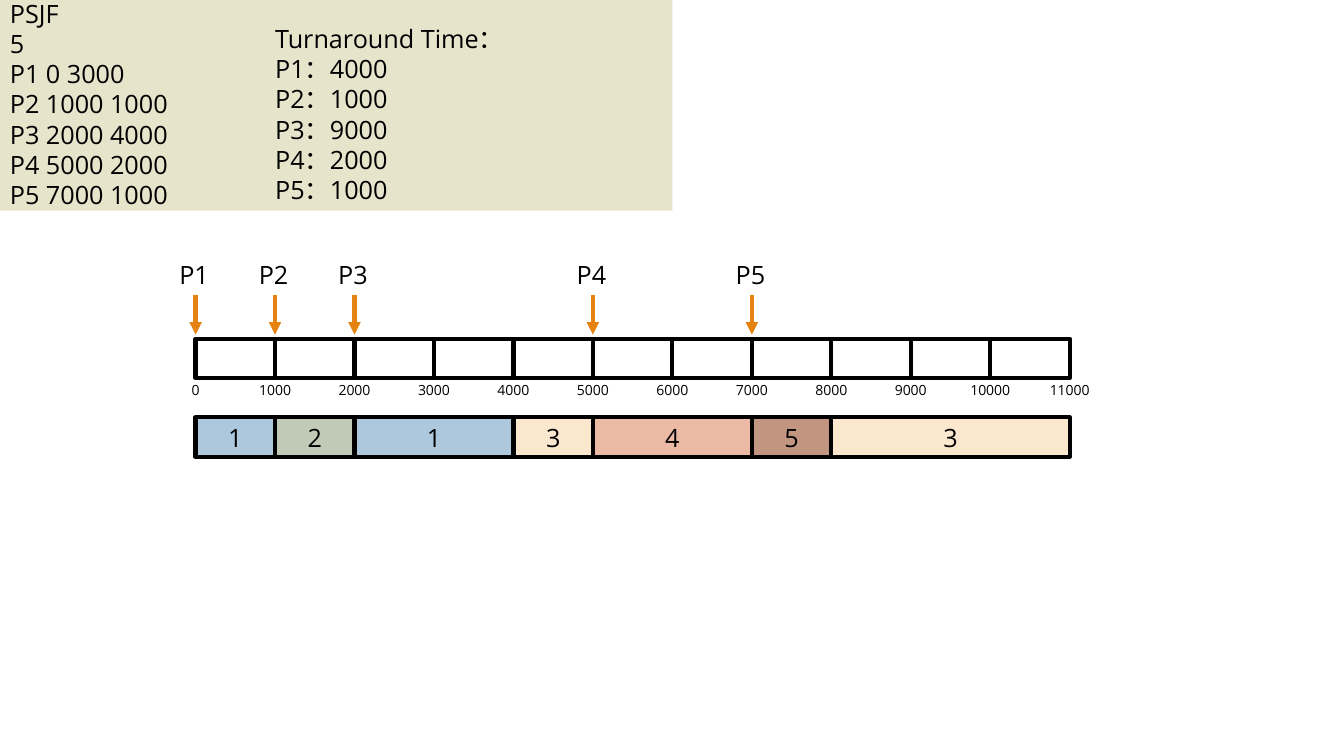
from lxml import etree
from pptx import Presentation
from pptx.dml.color import RGBColor
from pptx.enum.shapes import MSO_CONNECTOR, MSO_SHAPE
from pptx.enum.text import MSO_ANCHOR, MSO_AUTO_SIZE, PP_ALIGN
from pptx.oxml.ns import qn
from pptx.util import Inches, Pt

RECTANGLE = MSO_SHAPE.RECTANGLE
STRAIGHT = MSO_CONNECTOR.STRAIGHT
CENTER, LEFT = PP_ALIGN.CENTER, PP_ALIGN.LEFT
MIDDLE, TOP = MSO_ANCHOR.MIDDLE, MSO_ANCHOR.TOP
GROW, FIXED = MSO_AUTO_SIZE.SHAPE_TO_FIT_TEXT, MSO_AUTO_SIZE.NONE

# Content
INPUT_LINES = ["PSJF", "5", "P1 0 3000", "P2 1000 1000", "P3 2000 4000",
               "P4 5000 2000", "P5 7000 1000"]
TURNAROUND_LINES = ["Turnaround Time:", "P1:4000", "P2:1000", "P3:9000",
                    "P4:2000", "P5:1000"]
TURNAROUND_LINES = [line.replace(":", "\uff1a") for line in TURNAROUND_LINES]
ARRIVALS = {"P1": 0, "P2": 1000, "P3": 2000, "P4": 5000, "P5": 7000}
SCHEDULE = [("1", 0, 1000), ("2", 1000, 2000), ("1", 2000, 4000),
            ("3", 4000, 5000), ("4", 5000, 7000), ("5", 7000, 8000),
            ("3", 8000, 11000)]
END_TIME, STEP = 11000, 1000

# Style
FONT = "Open Sans"
BLACK, ORANGE, PANEL = "000000", "E48312", "E7E4CC"
PROCESS_COLORS = {"1": "ADC8DD", "2": "C1CAB6", "3": "FBE6CE",
                  "4": "EABAA5", "5": "C29580"}
LINE_WIDTH = Pt(3)

# Layout in inches
AXIS_LEFT, CELL_WIDTH, CELL_HEIGHT = 1.94, 8.67 / 11, 0.39
AXIS_TOP, TICK_TOP, SCHEDULE_TOP = 3.36, 3.67, 4.14
ARROW_TOP, ARROW_BOTTOM = 2.93, 3.32
NAME_TOP, NAME_WIDTH, NAME_HEIGHT = 2.52, 0.52, 0.4

deck = Presentation()
deck.slide_width, deck.slide_height = Inches(13.33), Inches(7.5)
page = deck.slides.add_slide(deck.slide_layouts[6])


def color(value):
    return RGBColor.from_string(value)


def time_x(time):
    return AXIS_LEFT + time / STEP * CELL_WIDTH


def write(box, lines, size=18, align=CENTER, **frame_format):
    frame = box.text_frame
    settings = {"word_wrap": True, "auto_size": FIXED,
                "vertical_anchor": MIDDLE, **frame_format}
    for name, value in settings.items():
        setattr(frame, name, value)
    for index, line in enumerate(lines):
        para = frame.paragraphs[0] if index == 0 else frame.add_paragraph()
        para.alignment = align
        span = para.add_run()
        span.text = line
        for name, value in {"name": FONT, "size": Pt(size)}.items():
            setattr(span.font, name, value)
        span.font.color.rgb = color(BLACK)


def add_text(left, top, width, height, lines, **text_format):
    box = page.shapes.add_textbox(*map(Inches, (left, top, width, height)))
    write(box, lines, **text_format)


def add_block(left, top, width, height, fill=None, outlined=True):
    block = page.shapes.add_shape(RECTANGLE, *map(Inches, (left, top, width, height)))
    block.shadow.inherit = False
    if fill:
        block.fill.solid()
        block.fill.fore_color.rgb = color(fill)
    else:
        block.fill.background()
    if outlined:
        block.line.color.rgb = color(BLACK)
        block.line.width = LINE_WIDTH
    else:
        block.line.fill.background()
    return block


def add_arrow(x):
    arrow = page.shapes.add_connector(
        STRAIGHT, *map(Inches, (x, ARROW_TOP, x, ARROW_BOTTOM)))
    arrow.line.color.rgb = color(ORANGE)
    arrow.line.width = LINE_WIDTH
    properties = arrow.line._get_or_add_ln()
    etree.SubElement(properties, qn("a:tailEnd"), type="triangle")
    etree.SubElement(properties.getparent(), qn("a:effectLst"))


# Time axis with tick labels
for time in range(0, END_TIME, STEP):
    add_block(time_x(time), AXIS_TOP, CELL_WIDTH, CELL_HEIGHT)
for time in range(0, END_TIME + STEP, STEP):
    add_text(time_x(time) - CELL_WIDTH / 2, TICK_TOP, CELL_WIDTH, CELL_HEIGHT,
             [str(time)], size=10)

# Schedule of running processes
for process, start, end in SCHEDULE:
    block = add_block(time_x(start), SCHEDULE_TOP, time_x(end) - time_x(start),
                      CELL_HEIGHT, PROCESS_COLORS[process])
    write(block, [process])

# Arrivals
label_format = {"align": LEFT, "vertical_anchor": TOP, "auto_size": GROW}
for name, time in ARRIVALS.items():
    add_arrow(time_x(time))
    add_text(time_x(time) - NAME_WIDTH / 2, NAME_TOP, NAME_WIDTH, NAME_HEIGHT,
             [name], word_wrap=False, **label_format)

# Input and turnaround panel
add_block(0, 0, 6.67, 2.09, PANEL, outlined=False)
add_text(0, -0.07, 1.97, 2.22, INPUT_LINES, **label_format)
add_text(2.63, 0.18, 2.61, 1.92, TURNAROUND_LINES, word_wrap=False, **label_format)

deck.save("out.pptx")
